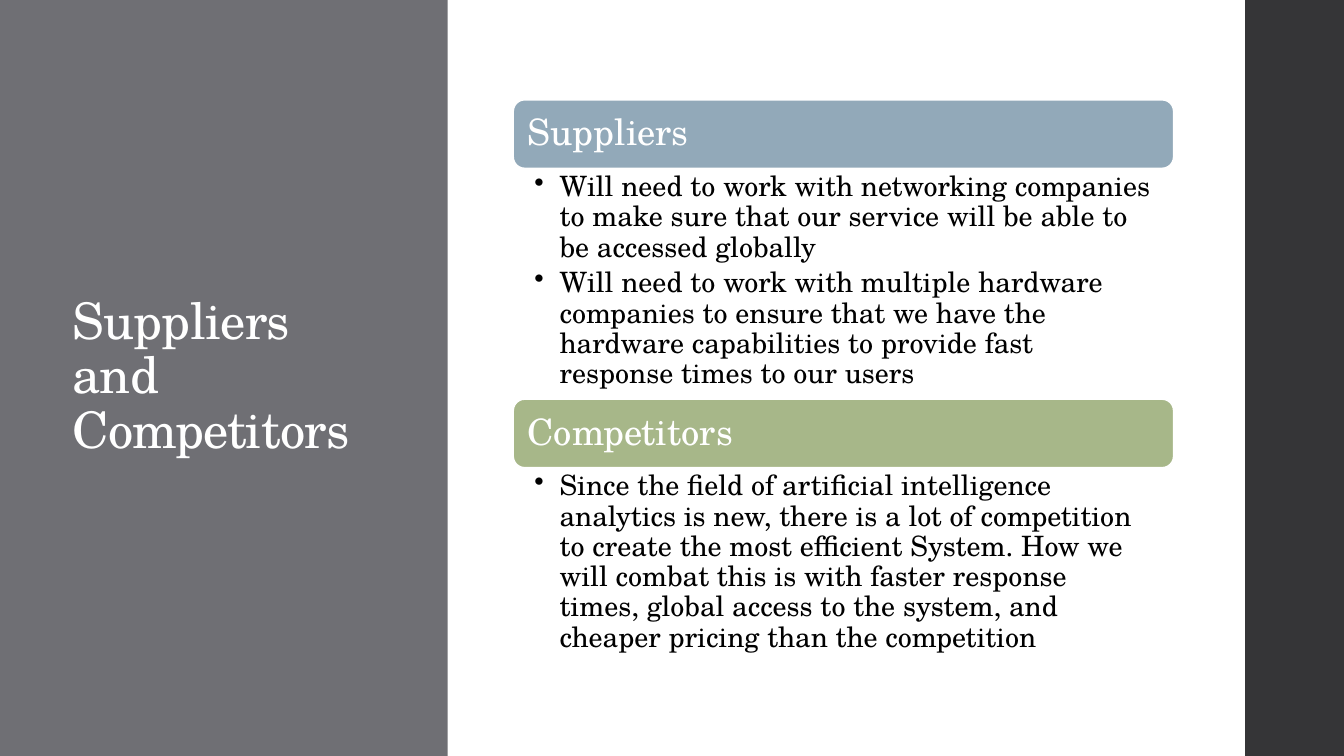
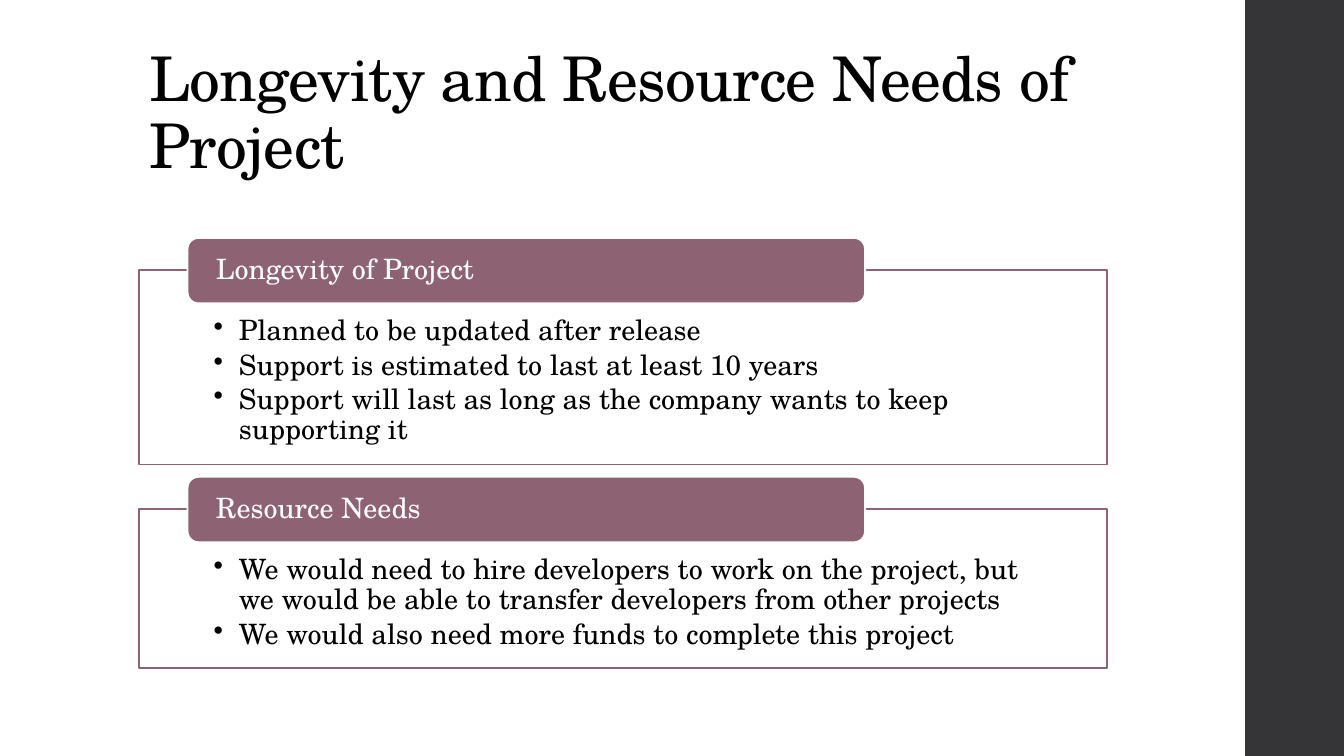
from pptx import Presentation
from pptx.dml.color import RGBColor
from pptx.enum.shapes import MSO_SHAPE as SHAPE
from pptx.enum.text import MSO_ANCHOR as ANCHOR, MSO_AUTO_SIZE as AUTO_SIZE, PP_ALIGN as ALIGN
from pptx.oxml.ns import qn
from pptx.util import Pt
from lxml import etree

PX = 9144  # 100 px to the inch
SLIDE_W, SLIDE_H = 1333, 750
BAND_X = 1235
TITLE_ONLY = 5

WHITE = RGBColor(0xFF, 0xFF, 0xFF)
BLACK = RGBColor(0x00, 0x00, 0x00)
GREY = RGBColor(0x6F, 0x6F, 0x74)
CHARCOAL = RGBColor(0x35, 0x35, 0x37)
BLUE = RGBColor(0x92, 0xA9, 0xB9)
GREEN = RGBColor(0xA7, 0xB7, 0x89)
PLUM = RGBColor(0x8D, 0x63, 0x74)

FONT = "TeX Gyre Schola"
BULLET_INDENT = 25

SUPPLIERS = [
    "Will need to work with networking companies to make sure that our service "
    "will be able to be accessed globally",
    "Will need to work with multiple hardware companies to ensure that we have "
    "the hardware capabilities to provide fast response times to our users",
]
COMPETITORS = [
    "Since the field of artificial intelligence analytics is new, there is a lot "
    "of competition to create the most efficient System. How we will combat this "
    "is with faster response times, global access to the system, and cheaper "
    "pricing than the competition",
]
LONGEVITY = [
    "Planned to be updated after release",
    "Support is estimated to last at least 10 years",
    "Support will last as long as the company wants to keep supporting it",
]
RESOURCES = [
    "We would need to hire developers to work on the project, but we would be "
    "able to transfer developers from other projects",
    "We would also need more funds to complete this project",
]


def px(*lengths):
    return [n * PX for n in lengths]


def format_frame(tf, anchor, insets):
    """Insets run left, top, right, bottom."""
    left, top, right, bottom = px(*insets)
    settings = dict(word_wrap=True, auto_size=AUTO_SIZE.NONE, vertical_anchor=anchor,
                    margin_left=left, margin_top=top,
                    margin_right=right, margin_bottom=bottom)
    for name, value in settings.items():
        setattr(tf, name, value)


def write(p, text, size, color):
    p.alignment = ALIGN.LEFT
    p.line_spacing = 0.9
    r = p.add_run()
    r.text = text
    for name, value in dict(name=FONT, size=Pt(size)).items():
        setattr(r.font, name, value)
    r.font.color.rgb = color
    return r


def add_box(s, kind, box, fill, line=None, line_width=1.1):
    sp = s.shapes.add_shape(kind, *px(*box))
    sp.shadow.inherit = False
    sp.fill.solid()
    sp.fill.fore_color.rgb = fill
    if line is None:
        sp.line.fill.background()
    else:
        sp.line.color.rgb = line
        sp.line.width = Pt(line_width)
    return sp


def add_header(s, box, text, size, fill, inset, line_width=1.1):
    sp = add_box(s, SHAPE.ROUNDED_RECTANGLE, box, fill, WHITE, line_width)
    format_frame(sp.text_frame, ANCHOR.MIDDLE, (inset, 0, inset, 0))
    write(sp.text_frame.paragraphs[0], text, size, WHITE)


def write_bullets(tf, items, insets, gap):
    format_frame(tf, ANCHOR.TOP, insets)
    for i, item in enumerate(items):
        p = tf.add_paragraph() if i else tf.paragraphs[0]
        pPr = p._p.get_or_add_pPr()
        pPr.set("marL", str(BULLET_INDENT * PX))
        pPr.set("indent", str(-BULLET_INDENT * PX))
        etree.SubElement(pPr, qn("a:buChar"), char="•")
        p.space_after = Pt(gap)
        write(p, item, 20, BLACK)


def add_slide(prs, title, box, size, color, anchor):
    """Title slide part shared by all slides, with the dark band at the right."""
    s = prs.slides.add_slide(prs.slide_layouts[TITLE_ONLY])
    sp = s.shapes.title
    sp.left, sp.top, sp.width, sp.height = px(*box)
    format_frame(sp.text_frame, anchor, (10, 5, 10, 5))
    r = write(sp.text_frame.paragraphs[0], title, size, color)
    r.font._element.set("spc", "-50")
    add_box(s, SHAPE.RECTANGLE, (BAND_X, 0, SLIDE_W - BAND_X, SLIDE_H), CHARCOAL)
    return s


def add_section(s, top, header, fill, items, body_h):
    left, width, header_h = 509, 655, 68
    add_header(s, (left, top, width, header_h), header, 26, fill, 11)
    body = s.shapes.add_textbox(*px(left, top + header_h, width, body_h))
    write_bullets(body.text_frame, items, (21, 4, 20, 4), gap=4)


def add_framed_section(s, top, height, header, items):
    """A bordered list whose header tab straddles the top edge."""
    left, width, tab_rise = 138, 960, 32
    frame = add_box(s, SHAPE.RECTANGLE, (left, top, width, height), WHITE, PLUM)
    write_bullets(frame.text_frame, items, (74, 46, 74, 16), gap=3)
    add_header(s, (left + 48, top - tab_rise, 672, 65), header, 20, PLUM, 25, 1.35)


def suppliers_slide(prs):
    s = add_slide(prs, "Suppliers and Competitors", (62, 91, 297, 567), 36,
                  WHITE, ANCHOR.MIDDLE)
    panel = add_box(s, SHAPE.RECTANGLE, (0, 0, 444, SLIDE_H), GREY)
    s.shapes.title._element.addprevious(panel._element)
    add_section(s, 99, "Suppliers", BLUE, SUPPLIERS, 230)
    add_section(s, 396, "Competitors", GREEN, COMPETITORS, 188)


def longevity_slide(prs):
    s = add_slide(prs, "Longevity and Resource Needs of Project", (138, 40, 1060, 145),
                  44, BLACK, ANCHOR.BOTTOM)
    add_framed_section(s, 268, 193, "Longevity of Project", LONGEVITY)
    add_framed_section(s, 505, 158, "Resource Needs", RESOURCES)


def main():
    prs = Presentation()
    prs.slide_width, prs.slide_height = px(SLIDE_W, SLIDE_H)
    suppliers_slide(prs)
    longevity_slide(prs)
    prs.save("out.pptx")


if __name__ == "__main__":
    main()
